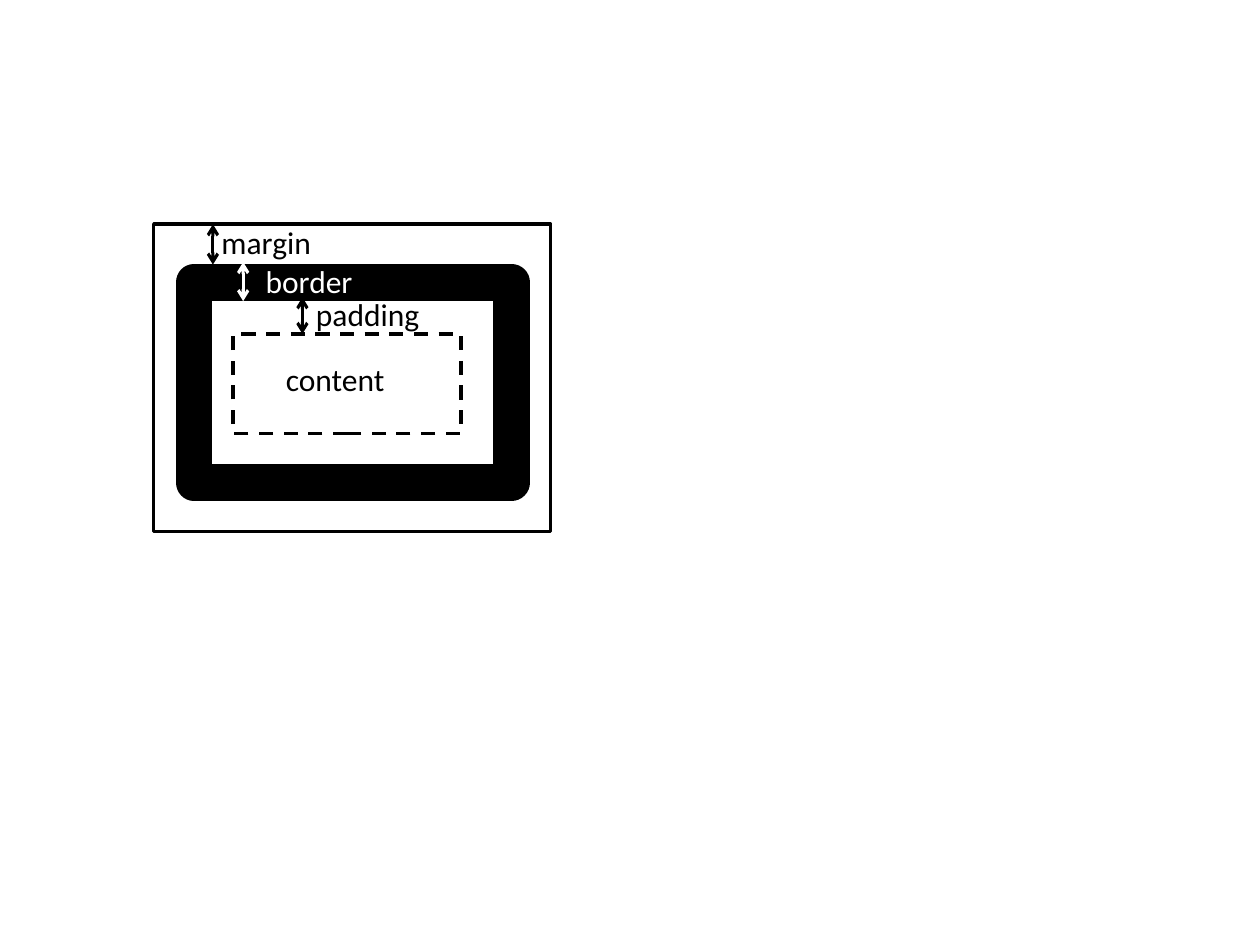
from lxml.etree import SubElement
from pptx import Presentation
from pptx.dml.color import RGBColor
from pptx.enum.dml import MSO_LINE
from pptx.enum.shapes import MSO_CONNECTOR, MSO_SHAPE
from pptx.enum.text import MSO_AUTO_SIZE
from pptx.oxml.ns import qn
from pptx.util import Inches, Pt

BLACK, WHITE = "000000", "FFFFFF"
BOXES = [
    ((1.22, 1.78, 3.15, 2.44), 2, None),
    ((1.54, 2.24, 2.52, 1.59), 21, None),
    ((1.85, 2.65, 1.81, 0.79), 2, MSO_LINE.DASH),
]
GAPS = [
    (1.69, 2.1, 1.78, BLACK),
    (2.4, 2.65, 2.36, BLACK),
    (1.93, 2.39, 2.08, WHITE),
]
LABELS = [
    ("margin", 1.66, 1.72, BLACK),
    ("border", 2.01, 2.03, WHITE),
    ("padding", 2.41, 2.29, BLACK),
    ("content", 2.17, 2.81, BLACK),
]
LABEL_SIZE = (1.26, 0.4)


def style_line(line, color, width, dash=None):
    """Set a line's colour, width, dash and round corners."""
    line.color.rgb = RGBColor.from_string(color)
    line.width = Pt(width)
    if dash:
        line.dash_style = dash
    outline = line.color and line._get_or_add_ln()
    SubElement(outline, qn("a:round"))
    return outline


def add_box(slide, bounds, width, dash):
    """Draw one unfilled layer of the box model."""
    box = slide.shapes.add_shape(MSO_SHAPE.RECTANGLE, *map(Inches, bounds))
    box.shadow.inherit = False
    box.fill.background()
    style_line(box.line, BLACK, width, dash)


def add_gap_arrow(slide, x, bottom, top, color):
    """Draw a vertical arrow with a head at each end."""
    arrow = slide.shapes.add_connector(
        MSO_CONNECTOR.STRAIGHT, *map(Inches, (x, bottom, x, top)))
    outline = style_line(arrow.line, color, 1.75)
    for end in ("a:headEnd", "a:tailEnd"):
        SubElement(outline, qn(end), type="arrow")
    SubElement(arrow._element.spPr, qn("a:effectLst"))


def add_label(slide, text, left, top, *, color, size=18, font="Calibri"):
    """Add a one-line label with the given format."""
    label = slide.shapes.add_textbox(*map(Inches, (left, top, *LABEL_SIZE)))
    frame = label.text_frame
    frame.word_wrap = True
    frame.auto_size = MSO_AUTO_SIZE.SHAPE_TO_FIT_TEXT
    run = frame.paragraphs[0].add_run()
    run.text = text
    run.font.name = font
    run.font.size = Pt(size)
    run.font.color.rgb = RGBColor.from_string(color)


def main():
    """Build the box model slide."""
    deck = Presentation()
    deck.slide_width, deck.slide_height = Inches(10), Inches(7.5)
    slide = deck.slides.add_slide(deck.slide_layouts[6])
    for bounds, width, dash in BOXES:
        add_box(slide, bounds, width, dash)
    for gap in GAPS:
        add_gap_arrow(slide, *gap)
    for text, left, top, color in LABELS:
        add_label(slide, text, left, top, color=color)
    deck.save("out.pptx")


if __name__ == "__main__":
    main()
